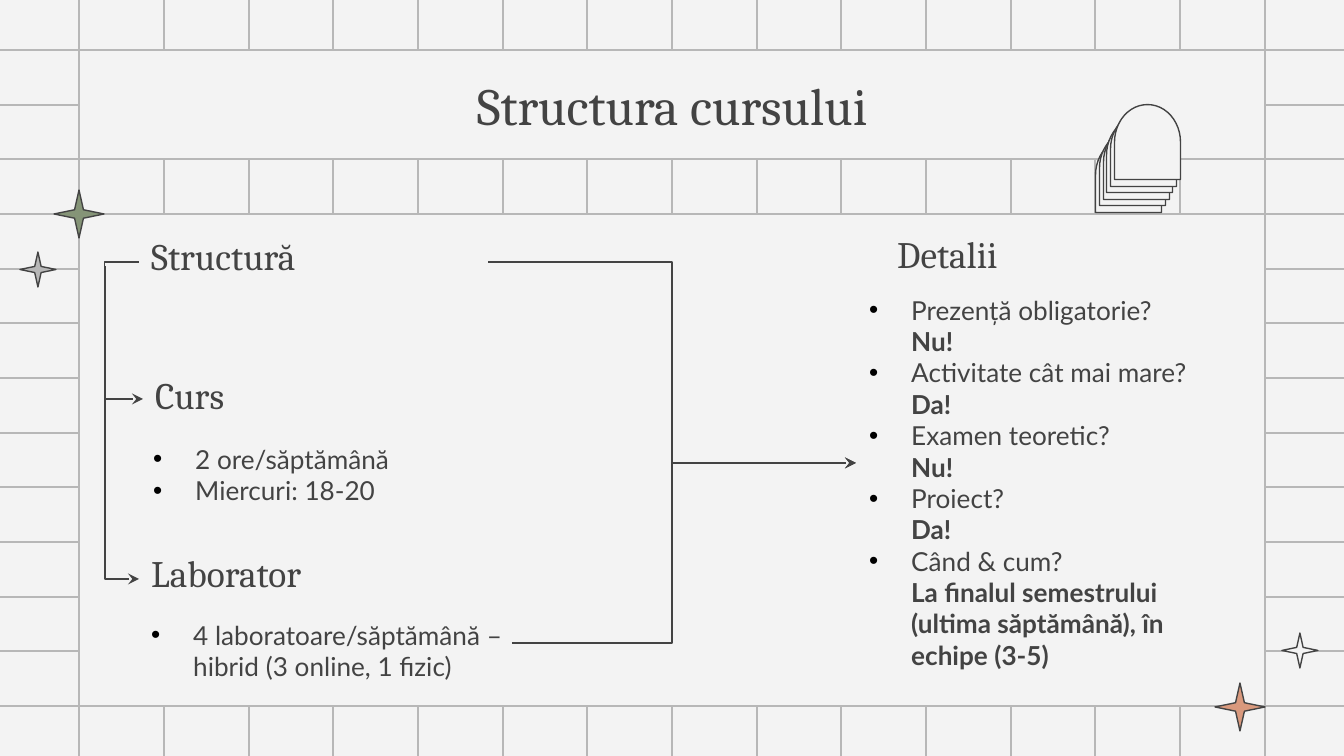
"""Build the course structure slide with its grid, stars and connected text blocks."""
from lxml.etree import SubElement
from pptx import Presentation
from pptx.dml.color import RGBColor
from pptx.enum.shapes import MSO_CONNECTOR, MSO_SHAPE
from pptx.enum.text import MSO_ANCHOR, PP_ALIGN
from pptx.oxml.ns import qn
from pptx.util import Pt

PX = 9144000 / 1344
PAPER = RGBColor(0xF3, 0xF3, 0xF3)
GRID = RGBColor(0xB7, 0xB7, 0xB7)
INK = RGBColor(0x43, 0x43, 0x43)
ORANGE = RGBColor(0xD9, 0x99, 0x7D)
GREEN = RGBColor(0x85, 0x94, 0x77)


def emu(*lengths):
    return [round(length * PX) for length in lengths]


def style_outline(shape, fill, line):
    shape.shadow.inherit = False
    shape.fill.solid()
    shape.fill.fore_color.rgb = fill
    shape.line.color.rgb = line
    shape.line.width = Pt(0.75)


presentation = Presentation()
presentation.slide_width, presentation.slide_height = emu(1344, 756)
slide = presentation.slides.add_slide(presentation.slide_layouts[5])
shapes = slide.shapes
slide.background.fill.solid()
slide.background.fill.fore_color.rgb = PAPER

columns = [round(672 + step * 254 / 3) for step in range(-7, 8)]
rows = [round(378 + step * 164 / 3) for step in range(-6, 7)]
grid_lines = [(x, top, x, bottom) for top, bottom in ((-4, 378), (378, 760)) for x in columns]
grid_lines += [(left, y, right, y) for left, right in ((-5, 672), (672, 1349)) for y in rows]
for ends in grid_lines:
    line = shapes.add_connector(MSO_CONNECTOR.STRAIGHT, *emu(*ends))
    line.line.color.rgb = GRID
    line.line.width = Pt(0.75)
    SubElement(line._element.spPr, qn("a:effectLst"))

panel = shapes.add_shape(MSO_SHAPE.RECTANGLE, *emu(79, 214, 1186, 492))
style_outline(panel, PAPER, GRID)

stars = [
    (1215, 683, 50, 48, ORANGE),
    (1282, 633, 36, 35, PAPER),
    (54, 190, 50, 48, GREEN),
    (20, 252, 36, 35, GRID),
]
for left, top, width, height, color in stars:
    star = shapes.add_shape(MSO_SHAPE.STAR_4_POINT, *emu(left, top, width, height))
    style_outline(star, color, INK)

title = shapes.title
shapes._spTree.append(title._element)
title.left, title.top, title.width, title.height = emu(79, 50, 1186, 109)
style_outline(title, PAPER, GRID)
title.text_frame.vertical_anchor = MSO_ANCHOR.MIDDLE
paragraph = title.text_frame.paragraphs[0]
paragraph.alignment = PP_ALIGN.CENTER
run = paragraph.add_run()
run.text = "Structura cursului"
run.font.name = "Cambria"
run.font.size = Pt(28)
run.font.color.rgb = INK

headings = [
    ("Structură", 138, 231, 349, 60),
    ("Curs", 142, 370, 349, 60),
    ("Laborator", 138, 548, 349, 60),
    ("Detalii", 884, 235, 349, 54),
]
for text, *box in headings:
    heading = shapes.add_textbox(*emu(*box))
    frame = heading.text_frame
    frame.word_wrap = True
    frame.vertical_anchor = MSO_ANCHOR.BOTTOM
    frame.margin_top, frame.margin_bottom = emu(13, 13)
    run = frame.paragraphs[0].add_run()
    run.text = text
    run.font.name = "Cambria"
    run.font.size = Pt(20)
    run.font.color.rgb = INK

bullet_lists = [
    ((140, 430, 349, 74), [("2 ore/săptămână",), ("Miercuri: 18-20",)]),
    ((138, 606, 430, 74), [("4 laboratoare/săptămână – hibrid (3 online, 1 fizic)",)]),
    ((856, 281, 383, 364), [
        ("Prezență obligatorie? ", "\n", "Nu!"),
        ("Activitate cât mai mare? ", "Da!"),
        ("Examen teoretic?", "\n", "Nu!"),
        ("Proiect?", "\n", "Da!"),
        ("Când & cum?", "\n", "La finalul semestrului (ultima săptămână), în echipe (3-5)"),
    ]),
]
for box, items in bullet_lists:
    frame = shapes.add_textbox(*emu(*box)).text_frame
    frame.word_wrap = True
    frame.margin_top, frame.margin_bottom = emu(13, 13)
    for index, parts in enumerate(items):
        paragraph = frame.add_paragraph() if index else frame.paragraphs[0]
        properties = paragraph._p.get_or_add_pPr()
        indent = emu(42)[0]
        properties.set("marL", str(indent))
        properties.set("indent", str(-indent))
        bullet_color = SubElement(properties, qn("a:buClr"))
        SubElement(bullet_color, qn("a:srgbClr"), val="000000")
        SubElement(properties, qn("a:buFont"), typeface="Arial")
        SubElement(properties, qn("a:buChar"), char="•")
        for position, part in enumerate(parts):
            if part == "\n":
                paragraph.add_line_break()
                continue
            run = paragraph.add_run()
            run.text = part
            run.font.name = "Lato"
            run.font.size = Pt(14)
            run.font.bold = position > 0
            run.font.color.rgb = INK

arrows = [
    (139, 262, 143, 399, 105),
    (105, 266, 139, 579, 105),
    (488, 262, 856, 463, 672),
    (512, 643, 856, 463, 672),
]
for start_x, start_y, end_x, end_y, bend_x in arrows:
    arrow = shapes.add_connector(MSO_CONNECTOR.ELBOW, *emu(start_x, start_y, end_x, end_y))
    arrow.line.color.rgb = INK
    arrow.line.width = Pt(0.75)
    SubElement(arrow.line._get_or_add_ln(), qn("a:tailEnd"), type="stealth")
    SubElement(arrow._element.spPr, qn("a:effectLst"))
    bend = round((bend_x - start_x) / (end_x - start_x) * 100000)
    guides = arrow._element.spPr.find(qn("a:prstGeom")).get_or_add_avLst()
    SubElement(guides, qn("a:gd"), name="adj1", fmla=f"val {bend}")

for step in range(6):
    arch_box = emu(round(1091 + 3.8 * step), round(142 - 6.6 * step), 75, 66)
    arch = shapes.add_shape(MSO_SHAPE.FLOWCHART_DELAY, *arch_box)
    arch.rotation = 270
    style_outline(arch, PAPER, INK)

presentation.save("out.pptx")
